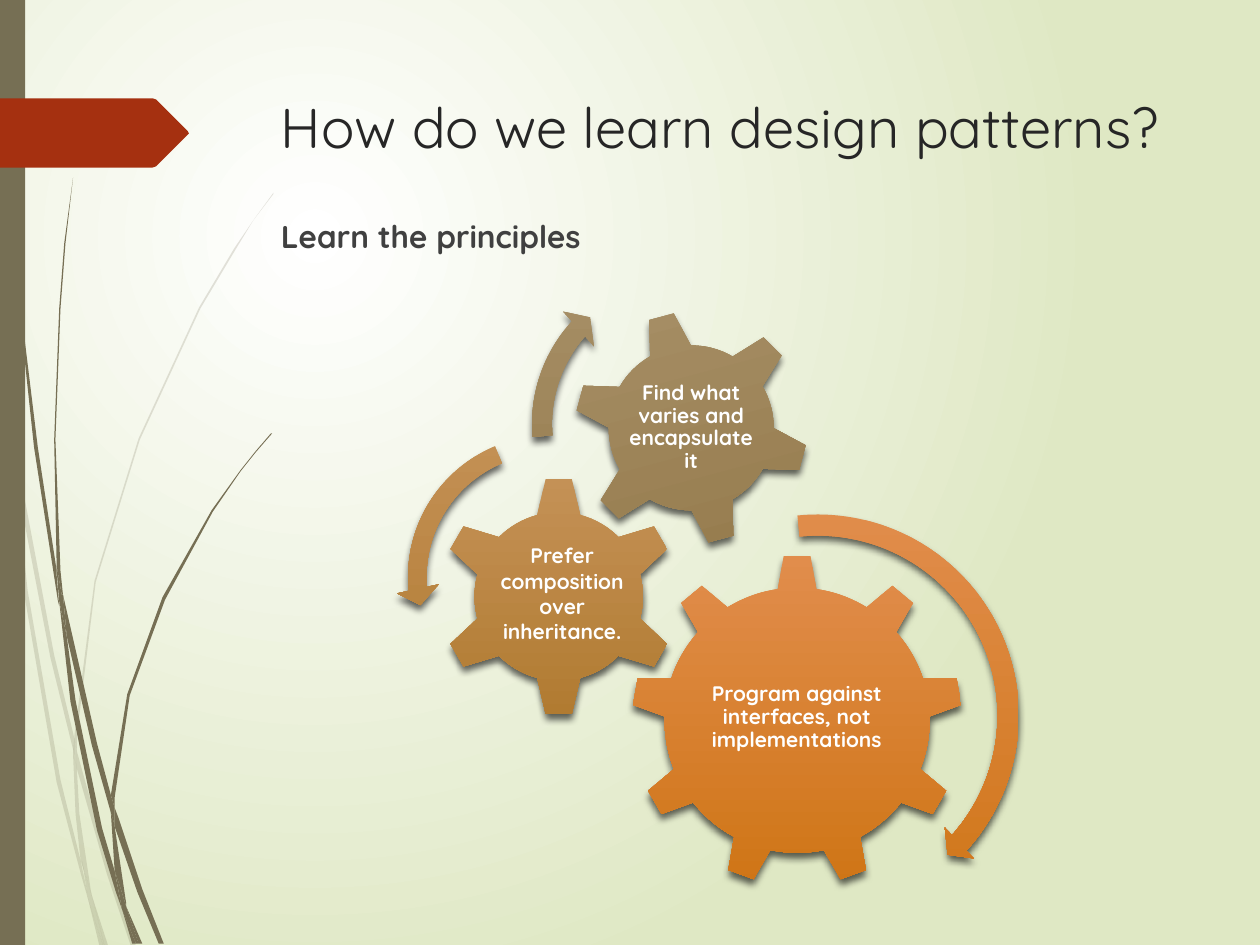
from lxml import etree
from pptx import Presentation
from pptx import util as u
from pptx.dml.color import RGBColor
from pptx.enum import shapes, text
from pptx.oxml.ns import qn

FONT = "Quicksand"
OLIVE, RED = "766F54", "A53010"
ORANGE, BRONZE, KHAKI = ("E18D4C", "CF7516"), ("C49156", "B17B31"), ("A89068", "947A4B")
GRID = u.Cm(0.0254)  # one unit of the outlines below

PALE_STRANDS = [
    "40,522 59,599 59,586 43,520 10,345 12,376",
    "64,607 61,596 61,610 85,694 104,751 108,751 88,692",
    "83,751 86,751 73,711",
    "64,683 48,619 22,469 12,376 8,350 19,470 45,621 64,693 70,714 69,707",
    "58,599 60,646 64,683 67,692 73,711 72,706 63,646 61,610 61,608",
    "61,584 76,462 111,349 159,245 187,198 201,175 217,154 217,153 201,175 186,197 158,244 "
    "110,348 75,461 59,584 59,586 61,596",
    "70,714 79,751 82,751",
    "61,608 61,610 61,596 59,586 58,599",
    "67,692 65,683 69,707 70,714 82,751 83,751 73,711",
]
DARK_STRANDS = [
    "5,110 14,233 27,355 46,477 47,481 45,457 45,453 30,355 15,232 6,109 4,48 3,0 2,0 3,48",
    "73,592 88,645 88,633 88,631 77,590 50,472 53,505",
    "94,649 91,641 91,656 109,708 126,749 130,749 113,706",
    "91,691 81,657 60,556 53,505 47,477 56,557 77,659 92,708 97,722 96,717",
    "50,472 48,453 44,349 48,245 52,193 58,141 51,193 47,245 43,349 45,449 49,472",
    "110,749 113,749 100,719",
    "47,477 53,505 50,472 49,472 45,449 45,453",
    "91,633 103,552 131,476 169,406 191,374 203,359 216,344 215,344 203,358 191,373 168,405 "
    "129,474 101,551 88,631 91,641",
    "97,722 105,749 108,749",
    "88,645 91,691 96,706 100,719 100,716 91,656 90,651",
    "88,645 90,651 91,656 91,641 88,631 88,633",
    "96,706 91,691 96,717 97,722 108,749 110,749 100,719",
]
TAG = "0,78 121,78 124,79 149,104 150,105.5 149,107 124,132 121,133 0,133"


def rgb(color):
    return RGBColor.from_string(color)


def assign(target, values):
    for name, value in values.items():
        setattr(target, name, value)


def frame(left, top, width, height):
    return [u.Cm(value) for value in (left, top, width, height)]


def set_solid(shape, color, alpha=None):
    shape.shadow.inherit = False
    shape.line.fill.background()
    shape.fill.solid()
    shape.fill.fore_color.rgb = rgb(color)
    if alpha:
        node = shape._element.spPr.find(".//" + qn("a:srgbClr"))
        etree.SubElement(node, qn("a:alpha"), val=str(alpha * 1000))


def set_gradient(fill, colors):
    fill.gradient()
    for stop, color, position in zip(fill.gradient_stops, colors, (0, 1)):
        stop.color.rgb = rgb(color)
        stop.position = position


def add_outline(slide, outline, color, alpha=None):
    """Add a closed polygon from pairs given in grid units."""
    points = [tuple(float(number) for number in pair.split(",")) for pair in outline.split()]
    builder = slide.shapes.build_freeform(*points[0], scale=GRID)
    builder.add_line_segments(points[1:], close=True)
    set_solid(builder.convert_to_shape(), color, alpha)


def add_shadow(shape):
    shape.shadow.inherit = False
    effects = shape._element.spPr.find(qn("a:effectLst"))
    shadow = etree.SubElement(effects, qn("a:outerShdw"), blurRad=str(u.Pt(4)),
                              dist=str(u.Pt(3)), dir="5400000", rotWithShape="0")
    color = etree.SubElement(shadow, qn("a:srgbClr"), val="000000")
    etree.SubElement(color, qn("a:alpha"), val="60000")


def add_wheel_part(slide, kind, left, top, size, colors, rotation=0, adjustments=()):
    """Add a gear or a circular arrow with a vertical gradient and a shadow."""
    shape = slide.shapes.add_shape(kind, *frame(left, top, size, size))
    shape.rotation = rotation
    for index, value in enumerate(adjustments):
        shape.adjustments[index] = value
    set_gradient(shape.fill, colors)
    shape.fill.gradient_angle = 270
    shape.line.fill.background()
    add_shadow(shape)


def write(shape, lines, size, color, bold, frame_format, paragraph_format):
    text_frame = shape.text_frame
    text_frame.text = "\n".join(lines)
    assign(text_frame, {"word_wrap": True, "auto_size": text.MSO_AUTO_SIZE.NONE, **frame_format})
    for paragraph in text_frame.paragraphs:
        assign(paragraph, paragraph_format)
        for run in paragraph.runs:
            assign(run.font, {"name": FONT, "size": u.Pt(size), "bold": bold})
            run.font.color.rgb = rgb(color)


def add_label(slide, box, lines, frame_format, line_spacing=None):
    write(slide.shapes.add_textbox(*frame(*box)), lines, 12, "FFFFFF", True, frame_format,
          {"alignment": text.PP_ALIGN.CENTER, "line_spacing": line_spacing})


def fill_placeholder(shape, box, line, size, color, bold, space_before=0):
    """Format a placeholder without a bullet and bring it to the front."""
    assign(shape, dict(zip(("left", "top", "width", "height"), frame(*box))))
    write(shape, [line], size, color, bold, {"vertical_anchor": text.MSO_ANCHOR.TOP},
          {"alignment": text.PP_ALIGN.LEFT, "space_before": u.Pt(space_before)})
    properties = shape.text_frame.paragraphs[0]._p.get_or_add_pPr()
    properties.attrib.update({"marL": "0", "indent": "0"})
    etree.SubElement(properties, qn("a:buNone"))
    shape._element.getparent().append(shape._element)


def set_background(slide, colors):
    set_gradient(slide.background.fill, colors)
    linear = slide._element.find(".//" + qn("a:lin"))
    circle = etree.Element(qn("a:path"), {"path": "circle"})
    etree.SubElement(circle, qn("a:fillToRect"), l="50000", t="50000", r="100000", b="100000")
    linear.getparent().replace(linear, circle)


def add_decoration(slide):
    for strands, alpha in ((PALE_STRANDS, 20), (DARK_STRANDS, None)):
        for strand in strands:
            add_outline(slide, strand, OLIVE, alpha)
    bar = slide.shapes.add_shape(shapes.MSO_SHAPE.RECTANGLE, *frame(0, 0, 0.51, 19.05))
    set_solid(bar, OLIVE)
    add_outline(slide, TAG, RED)


def add_gears(slide):
    kind = shapes.MSO_SHAPE
    inner = {"vertical_anchor": text.MSO_ANCHOR.MIDDLE, "margin_left": 0, "margin_right": 0,
             "margin_top": u.Cm(0.05), "margin_bottom": u.Cm(0.05)}
    add_wheel_part(slide, kind.GEAR_9, 12.73, 11.18, 6.68, ORANGE)
    add_label(slide, (14.07, 12.75, 3.99, 3.43),
              ["Program against interfaces, not implementations"], inner, 0.9)
    add_wheel_part(slide, kind.GEAR_6, 8.84, 9.6, 4.85, BRONZE)
    add_wheel_part(slide, kind.GEAR_6, 11.56, 6.25, 4.75, KHAKI, rotation=345)
    add_label(slide, (12.6, 7.29, 2.67, 2.67), ["Find what varies and encapsulate it"], inner, 0.9)
    add_wheel_part(slide, kind.CIRCULAR_ARROW, 12.22, 10.16, 8.53, ORANGE,
                   adjustments=(0.05, 2.99, 25.2, 158.53, 0.05))
    add_wheel_part(slide, kind.LEFT_CIRCULAR_ARROW, 7.98, 8.53, 6.2, BRONZE,
                   adjustments=(0.06, 4.3, 104.89, 148.38, 0.07))
    add_wheel_part(slide, kind.CIRCULAR_ARROW, 10.46, 5.21, 6.68, KHAKI,
                   adjustments=(0.06, 3.94, 133.14, 105.08, 0.07))
    add_label(slide, (9.53, 10.82, 3.61, 2.31), ["Prefer composition", "over", "inheritance."],
              {"auto_size": text.MSO_AUTO_SIZE.SHAPE_TO_FIT_TEXT})


def main():
    presentation = Presentation()
    assign(presentation, {"slide_width": u.Cm(25.4), "slide_height": u.Cm(19.05)})
    slide = presentation.slides.add_slide(presentation.slide_layouts[1])
    set_background(slide, ("FFFFFF", "DFE8C4"))
    add_decoration(slide)
    add_gears(slide)
    title, body = slide.placeholders
    fill_placeholder(title, (5.41, 1.73, 19.35, 3.56),
                     "How do we learn design patterns?", 32, "262626", False)
    fill_placeholder(body, (5.41, 4.24, 18.31, 10.49),
                     "Learn the principles", 18, "404040", True, space_before=10)
    presentation.save("out.pptx")


if __name__ == "__main__":
    main()
